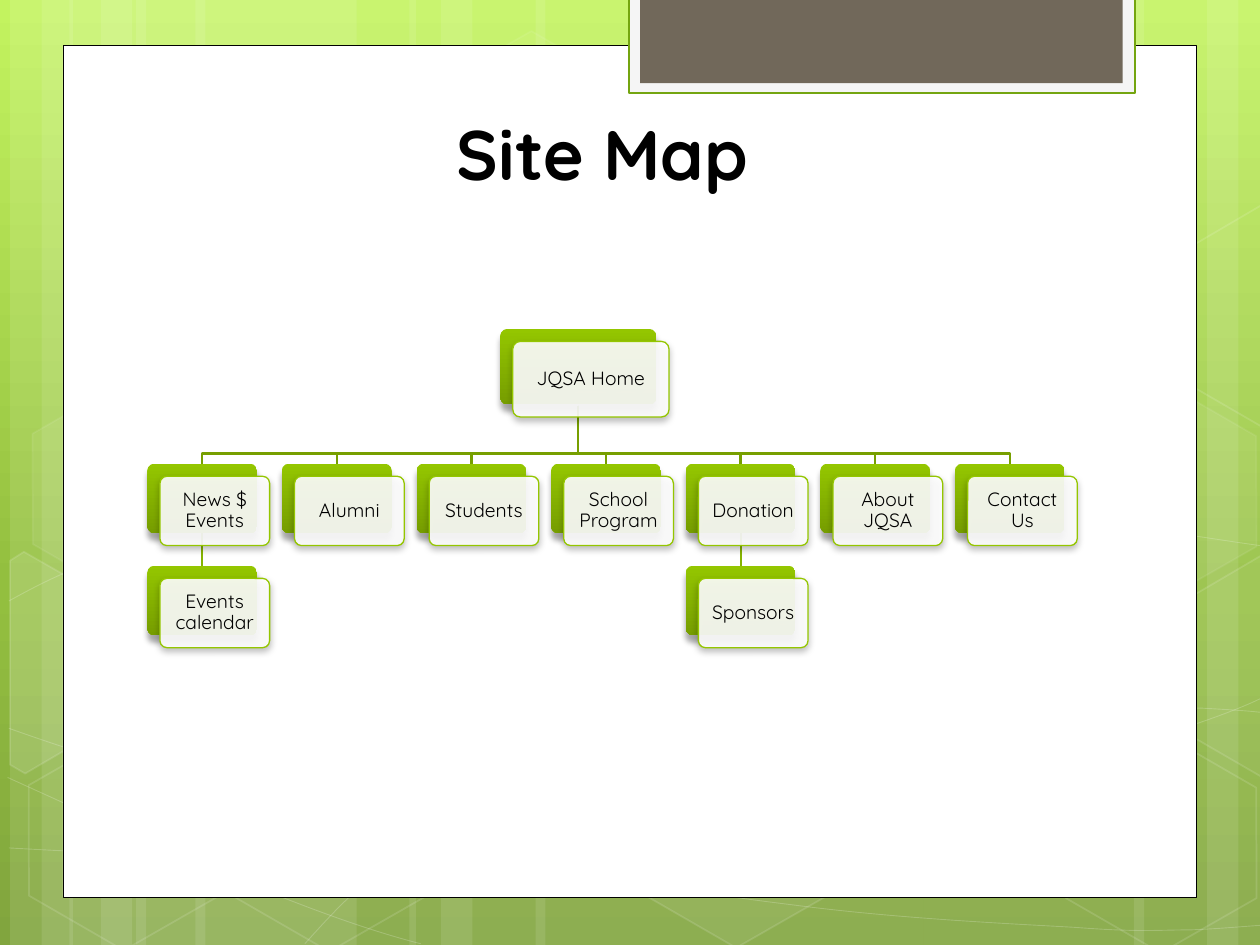
import copy
import pptx
import pptx.util
import pptx.dml.color
import pptx.enum.shapes
import pptx.enum.text
import pptx.oxml
import pptx.oxml.ns

Inches = pptx.util.Inches
Pt = pptx.util.Pt
RGBColor = pptx.dml.color.RGBColor
SHAPE = pptx.enum.shapes.MSO_SHAPE
qn = pptx.oxml.ns.qn
NAMESPACE = pptx.oxml.ns.nsdecls("a")

WHITE = RGBColor(0xFF, 0xFF, 0xFF)
BLACK = RGBColor(0, 0, 0)
PALE = RGBColor(0xF5, 0xF5, 0xF5)
BROWN = RGBColor(0x71, 0x68, 0x5A)
TAB_LINE = RGBColor(0x74, 0xA5, 0x10)
GREEN = RGBColor(0x94, 0xC6, 0x00)
DARK_GREEN = RGBColor(0x76, 0x9D, 0x00)
TREE_LINE = RGBColor(0x77, 0x9F, 0x00)
LEAF_LINE = RGBColor(0x86, 0xB4, 0x00)
SKY = [(0, RGBColor(0xC3, 0xF3, 0x5F)), (0.62, RGBColor(0x93, 0xBF, 0x3F)),
       (1, RGBColor(0x81, 0xA5, 0x3E))]

deck = pptx.Presentation()
deck.slide_width, deck.slide_height = Inches(10), Inches(7.5)
page = deck.slides.add_slide(deck.slide_layouts[6])
shapes = page.shapes


def paint(shape, fill=None, line=None, width=1, fill_alpha=100, line_alpha=100):
    """Set fill and line, each with an opacity in percent; None means no paint."""
    shape.shadow.inherit = False
    for part, color, alpha in ((shape.fill, fill, fill_alpha),
                               (shape.line.fill, line, line_alpha)):
        if color is None:
            part.background()
            continue
        part.solid()
        part.fore_color.rgb = color
        if alpha < 100:
            owner = shape._element.spPr
            if part is not shape.fill:
                owner = owner.find(qn("a:ln"))
            tone = owner.find(qn("a:solidFill")).find(qn("a:srgbClr"))
            tone.append(pptx.oxml.parse_xml(f'<a:alpha {NAMESPACE} val="{alpha * 1000}"/>'))
    if line is not None:
        shape.line.width = Pt(width)


def outline(points, close=False):
    """Draw a freeform through points given in inches."""
    spots = [(Inches(x), Inches(y)) for x, y in points]
    builder = shapes.build_freeform(*spots[0])
    builder.add_line_segments(spots[1:], close=close)
    return builder.convert_to_shape()


# Background gradient
sky = page.background.fill
sky.gradient()
sky.gradient_angle = 270
stop_list = page._element.find(".//" + qn("a:gsLst"))
stop_list.insert(1, copy.deepcopy(stop_list[0]))
for stop, (position, color) in zip(sky.gradient_stops, SKY):
    stop.position = position
    stop.color.rgb = color

# Vertical light bands: left, width
for left, width in [(1.08, 1.75), (0.08, 0.5), (0.33, 0.83), (1.55, 1.75),
                    (0.55, 0.5), (0.8, 0.83), (7.33, 1.75), (9.58, 0.5),
                    (9, 0.83), (4.25, 3.08), (3.25, 0.5), (3.5, 0.83)]:
    band = shapes.add_shape(SHAPE.RECTANGLE, Inches(left), 0, Inches(width), Inches(7.5))
    paint(band, WHITE, fill_alpha=10)

# Sweeping curves: a start point, then three points for each Bezier segment
curves = [
    [(0.07, 6.73), (0.61, 6.76), (1.15, 6.79), (1.9, 6.78), (2.65, 6.77),
     (3.58, 6.75), (4.58, 6.65), (5.58, 6.55), (7, 6.36), (7.92, 6.17),
     (8.83, 5.98), (9.77, 5.68), (10.07, 5.51)],
    [(0.07, 4.77), (0.36, 4.61), (0.65, 4.46), (1.21, 4.31), (1.78, 4.16),
     (2.59, 3.94), (3.47, 3.87), (4.36, 3.8), (5.44, 3.79), (6.54, 3.87),
     (7.64, 3.95), (9.47, 4.26), (10.07, 4.34)],
    [(0.06, 6.17), (1.27, 6.72), (2.47, 7.27), (3.34, 7.49)],
    [(0.07, 5.78), (0.38, 5.89), (0.7, 6), (1.28, 6.16), (1.86, 6.31),
     (2.73, 6.56), (3.57, 6.73), (4.4, 6.9), (5.45, 7.08), (6.28, 7.18),
     (7.11, 7.29), (8, 7.33), (8.53, 7.36), (9.05, 7.4), (9.19, 7.38),
     (9.45, 7.38), (9.71, 7.37), (9.89, 7.35), (10.07, 7.34)],
    [(2.42, 7.49), (2.6, 7.29), (2.78, 7.09), (3.02, 6.91), (3.26, 6.73),
     (3.6, 6.53), (3.88, 6.39), (4.16, 6.25), (4.33, 6.19), (4.7, 6.09),
     (5.06, 5.99), (5.73, 5.85), (6.08, 5.78), (6.44, 5.71), (6.49, 5.71),
     (6.8, 5.69), (7.11, 5.66), (7.6, 5.63), (7.94, 5.62), (8.29, 5.61),
     (8.86, 5.62), (8.86, 5.62), (9.08, 5.62), (9.31, 5.62), (9.53, 5.62),
     (9.71, 5.63), (9.88, 5.64), (9.97, 5.65), (10.06, 5.66), (10.03, 5.65),
     (10.06, 5.66)],
]
for points in curves:
    curve = outline(points)
    paint(curve, line=WHITE, width=0.5, line_alpha=20)
    # Join each three straight steps into one Bezier segment
    route = curve._element.find(".//" + qn("a:path"))
    steps = route.findall(qn("a:lnTo"))
    for first in range(0, len(steps), 3):
        bend = pptx.oxml.parse_xml(f"<a:cubicBezTo {NAMESPACE}/>")
        route.append(bend)
        for step in steps[first:first + 3]:
            bend.append(step[0])
            route.remove(step)

# Hexagons: left, top, fill opacity (0 for none), line opacity
for left, top, fill_alpha, line_alpha in [
        (3.34, 0.36, 4, 8), (4.97, 5.89, 6, 12), (0.11, 5.91, 0, 12),
        (0.14, 3.12, 7, 8), (1.74, 5.92, 0, 12), (8.34, 5.93, 0, 12),
        (8.34, 3.14, 7, 8)]:
    hexagon = shapes.add_shape(SHAPE.HEXAGON, Inches(left), Inches(top),
                               Inches(1.75), Inches(1.52))
    hexagon.rotation = 30
    hexagon.adjustments[0], hexagon.adjustments[1] = 0.29, 1.15
    paint(hexagon, WHITE if fill_alpha else None, WHITE, 1, fill_alpha, line_alpha)

# Hexagons cut by the page edge
for points, fill_alpha in [
        ([(0.08, 4.45), (0.19, 4.38), (0.96, 4.82), (0.95, 5.7), (0.2, 6.14), (0.08, 6.07)], 10),
        ([(9.26, 4.85), (10.01, 4.41), (10.09, 4.46), (10.09, 6.13), (10.02, 6.17), (9.26, 5.73)], 4),
        ([(9.26, 2.07), (10.01, 1.63), (10.1, 1.68), (10.09, 3.35), (10.02, 3.39), (9.26, 2.95)], 0)]:
    paint(outline(points, close=True), WHITE if fill_alpha else None, WHITE, 1, fill_alpha, 12)

# White panel and the tab at its top
for left, top, width, height, fill, line, weight in [
        (0.5, 0.36, 9, 6.76, WHITE, BLACK, 0.5),
        (4.99, -0.02, 4.02, 0.76, PALE, TAB_LINE, 1.25),
        (5.08, -0.02, 3.83, 0.68, BROWN, None, 0)]:
    panel = shapes.add_shape(SHAPE.RECTANGLE, Inches(left), Inches(top),
                             Inches(width), Inches(height))
    paint(panel, fill, line, weight)

# Site map measures and entries: text, column, row, and the lines between them
CARD_WIDTH, CARD_HEIGHT = 0.87, 0.55
FIRST_LEFT, PITCH = 1.17, (7.58 - 1.17) / 6
ROW_TOPS = [3.68, 4.49]
HOME_MIDDLE, HOME_BOTTOM, BRANCH = 4.59, 3.22, 3.6
sections = ["News $ Events", "Alumni", "Students", "School Program",
            "Donation", "About JQSA", "Contact Us"]
subpages = {0: "Events calendar", 4: "Sponsors"}
cards = [("JQSA Home", 3.97, 2.61, 1.24, 0.6)]
for column, name in enumerate(sections):
    left = FIRST_LEFT + column * PITCH
    middle = left + CARD_WIDTH / 2
    cards.append((name, left, ROW_TOPS[0], CARD_WIDTH, CARD_HEIGHT))
    branch = outline([(HOME_MIDDLE, HOME_BOTTOM), (HOME_MIDDLE, BRANCH),
                      (middle, BRANCH), (middle, ROW_TOPS[0])])
    paint(branch, line=TREE_LINE, width=1.25)
    if column in subpages:
        cards.append((subpages[column], left, ROW_TOPS[1], CARD_WIDTH, CARD_HEIGHT))
        stem = shapes.add_connector(
            pptx.enum.shapes.MSO_CONNECTOR.STRAIGHT, Inches(middle),
            Inches(ROW_TOPS[0] + CARD_HEIGHT), Inches(middle), Inches(ROW_TOPS[1]))
        stem.line.color.rgb = LEAF_LINE
        stem.line.width = Pt(1.25)
        stem._element.spPr.append(pptx.oxml.parse_xml(f"<a:effectLst {NAMESPACE}/>"))

# Cards: a green back plate and a white front plate; shadow is opacity, blur, distance
labels = []
for name, left, top, width, height in cards:
    for shift, (alpha, blur, distance) in [(0, (34, 3.5, 4)), (0.1, (28, 4, 2))]:
        plate = shapes.add_shape(SHAPE.ROUNDED_RECTANGLE, Inches(left + shift),
                                 Inches(top + shift), Inches(width), Inches(height))
        plate.adjustments[0] = 0.1
        if shift:
            paint(plate, WHITE, GREEN, 0.75, fill_alpha=90)
        else:
            paint(plate)
            plate.fill.gradient()
            plate.fill.gradient_angle = 270
            for stop, color in zip(plate.fill.gradient_stops, (GREEN, DARK_GREEN)):
                stop.color.rgb = color
        plate._element.spPr.find(qn("a:effectLst")).append(pptx.oxml.parse_xml(
            f'<a:outerShdw {NAMESPACE} blurRad="{Pt(blur)}" dist="{Pt(distance)}" '
            f'dir="5400000" rotWithShape="0"><a:srgbClr val="000000">'
            f'<a:alpha val="{alpha * 1000}"/></a:srgbClr></a:outerShdw>'))
    labels.append((plate, name, 11, False, 0.06, 0.9, "MIDDLE"))

# Title and card texts
title = shapes.add_textbox(Inches(1.14), Inches(0.59), Inches(7.28), Inches(1))
labels.append((title, "Site Map", 40, True, 0.05, 1.0, "BOTTOM"))
for box, text, size, bold, inset, spacing, anchor in labels:
    frame = box.text_frame
    frame_format = {"word_wrap": True,
                    "vertical_anchor": pptx.enum.text.MSO_ANCHOR[anchor]}
    for side in ("left", "right", "top", "bottom"):
        frame_format["margin_" + side] = Inches(inset)
    for key, value in frame_format.items():
        setattr(frame, key, value)
    para = frame.paragraphs[0]
    para.alignment = pptx.enum.text.PP_ALIGN.CENTER
    para.line_spacing = spacing
    span = para.add_run()
    span.text = text
    for key, value in {"name": "Quicksand", "size": Pt(size), "bold": bold}.items():
        setattr(span.font, key, value)
    span.font.color.rgb = BLACK

deck.save("out.pptx")
